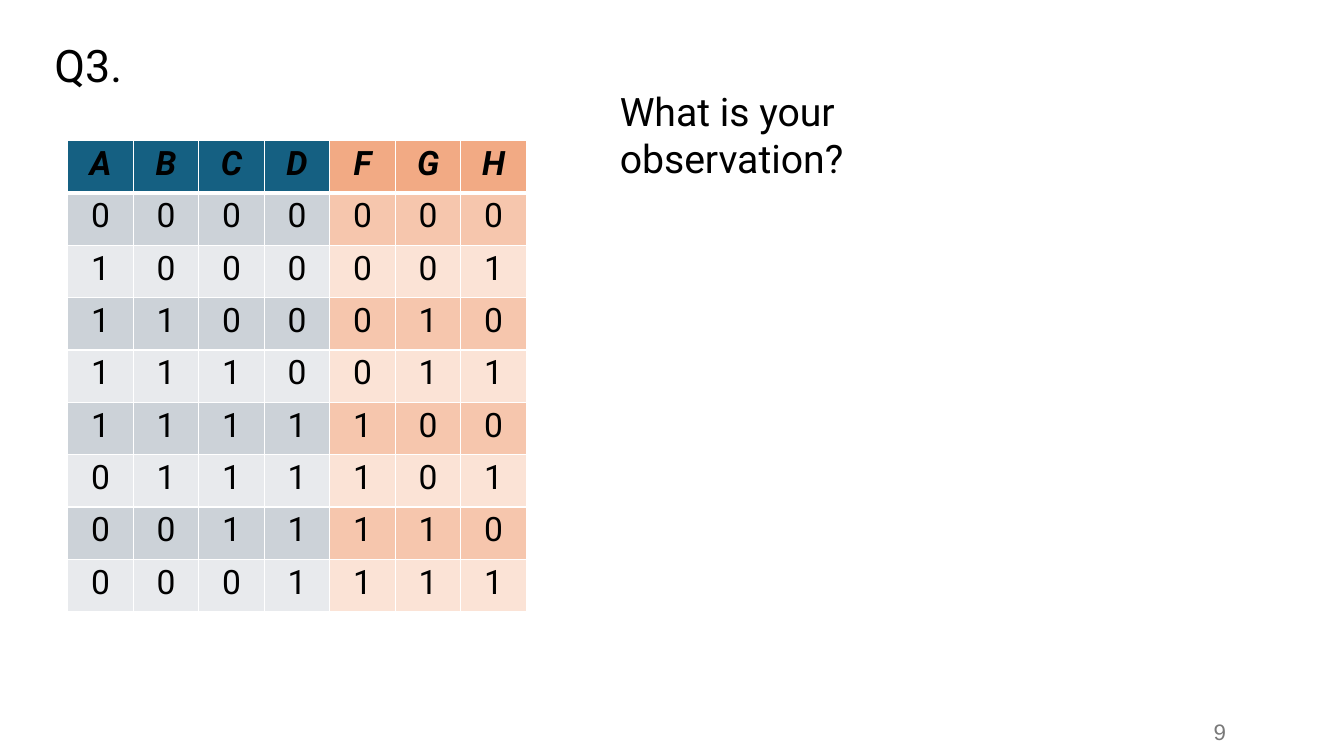
from lxml import etree
from pptx import Presentation
from pptx.dml.color import RGBColor
from pptx.enum.text import MSO_ANCHOR, MSO_AUTO_SIZE, PP_ALIGN
from pptx.oxml.ns import qn
from pptx.util import Pt

LEFT, CENTER, RIGHT = PP_ALIGN.LEFT, PP_ALIGN.CENTER, PP_ALIGN.RIGHT
TOP, MIDDLE = MSO_ANCHOR.TOP, MSO_ANCHOR.MIDDLE
NO_FIT, GROW = MSO_AUTO_SIZE.NONE, MSO_AUTO_SIZE.SHAPE_TO_FIT_TEXT

BLACK = RGBColor(0x00, 0x00, 0x00)
WHITE = RGBColor(0xFF, 0xFF, 0xFF)
GREY = RGBColor(0x79, 0x79, 0x79)
INPUT_FILLS = [RGBColor(0x15, 0x60, 0x82), RGBColor(0xCC, 0xD2, 0xD8), RGBColor(0xE8, 0xEA, 0xED)]
OUTPUT_FILLS = [RGBColor(0xF2, 0xAA, 0x84), RGBColor(0xF6, 0xC6, 0xAD), RGBColor(0xFB, 0xE3, 0xD6)]

ROWS = ["ABCDFGH", "0000000", "1000001", "1100010", "1110011",
        "1111100", "0111101", "0011110", "0001111"]
INPUT_COUNT = 4


def write(tf, text, size, font="Roboto", color=BLACK, align=LEFT, bold=False, italic=False, spacing=1.0):
    p = tf.paragraphs[0]
    p.alignment = align
    p.line_spacing = spacing
    r = p.add_run()
    r.text = text
    r.font.name = font
    r.font.size = Pt(size)
    r.font.color.rgb = color
    r.font.bold = bold
    r.font.italic = italic


def add_border(cell, side, width):
    ln = etree.SubElement(cell._tc.get_or_add_tcPr(), qn("a:" + side), w=str(Pt(width)))
    fill = etree.SubElement(ln, qn("a:solidFill"))
    etree.SubElement(fill, qn("a:srgbClr"), val=str(WHITE))


prs = Presentation()
prs.slide_width, prs.slide_height = Pt(960), Pt(540)
s = prs.slides.add_slide(prs.slide_layouts[5])

title = s.shapes.title
title.left, title.top, title.width, title.height = Pt(31.7), Pt(27.4), Pt(70.6), Pt(46.8)
tf = title.text_frame
tf.auto_size = NO_FIT
tf.vertical_anchor = TOP
write(tf, "Q3.", 32, spacing=0.9)

frame = s.shapes.add_table(len(ROWS), len(ROWS[0]), Pt(48.4), Pt(100.4), Pt(327.6), Pt(336.6))
table = frame.table
for column in table.columns:
    column.width = Pt(46.8)
for row in table.rows:
    row.height = Pt(37.4)

for i, values in enumerate(ROWS):
    shade = 0 if i == 0 else 2 - i % 2
    for j, value in enumerate(values):
        cell = table.cell(i, j)
        cell.margin_left = cell.margin_right = Pt(5)
        cell.margin_top = cell.margin_bottom = Pt(2.6)
        write(cell.text_frame, value, 24, align=CENTER, bold=i == 0, italic=i == 0)
        add_border(cell, "lnL", 1)
        add_border(cell, "lnR", 1)
        add_border(cell, "lnT", 3 if i == 1 else 1)
        add_border(cell, "lnB", 3 if i == 0 else 1)
        cell.fill.solid()
        cell.fill.fore_color.rgb = (INPUT_FILLS if j < INPUT_COUNT else OUTPUT_FILLS)[shade]

question = s.shapes.add_textbox(Pt(435.6), Pt(59), Pt(327.6), Pt(41))
tf = question.text_frame
tf.word_wrap = True
tf.auto_size = GROW
write(tf, "What is your observation?", 28)

page_number = s.shapes.add_textbox(Pt(779.8), Pt(508.3), Pt(103), Pt(28.8))
tf = page_number.text_frame
tf.word_wrap = True
tf.vertical_anchor = MIDDLE
write(tf, "9", 16, font="Arial", color=GREY, align=RIGHT)

prs.save("out.pptx")
